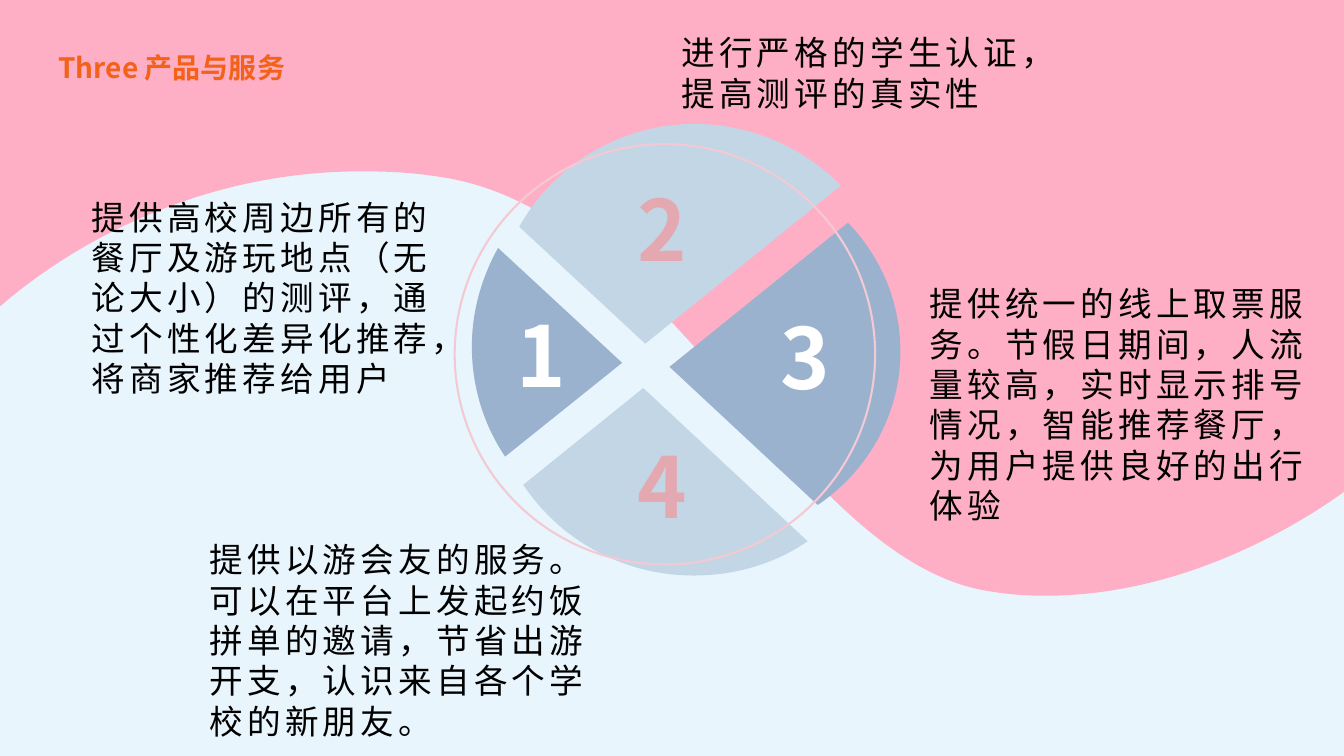
from typing import NamedTuple

from lxml.etree import SubElement
from pptx import Presentation
from pptx.dml.color import RGBColor
from pptx.enum.shapes import MSO_SHAPE
from pptx.enum.text import MSO_ANCHOR, PP_ALIGN
from pptx.oxml.ns import qn
from pptx.shapes.base import BaseShape
from pptx.slide import Slide
from pptx.text.text import TextFrame
from pptx.util import Inches, Pt

FONT = "Noto Sans CJK SC"
SKY = RGBColor(0xE8, 0xF5, 0xFC)
PINK = RGBColor(0xFE, 0xAF, 0xC5)
PALE_BLUE = RGBColor(0xC3, 0xD6, 0xE6)
MID_BLUE = RGBColor(0x9A, 0xB2, 0xCE)
RING = RGBColor(0xF3, 0xCA, 0xD3)
ROSE = RGBColor(0xE4, 0xA8, 0xB1)
ORANGE = RGBColor(0xF3, 0x62, 0x19)
WHITE = RGBColor(0xFF, 0xFF, 0xFF)
BLACK = RGBColor(0, 0, 0)


class Outline(NamedTuple):
    """Segments hold an end point, or two control points and an end point."""
    color: RGBColor
    start: tuple[float, float]
    segments: list[tuple[float, ...]]


class Label(NamedTuple):
    text: str
    left: float
    top: float
    width: float
    height: float
    size: int = 24
    color: RGBColor = BLACK
    bold: bool = False
    spacing: int = 3
    wrap: bool = True


def digit(text: str, left: float, top: float, color: RGBColor) -> Label:
    return Label(text, left, top, 0.74, 1.11, 60, color, True, 0, False)


WAVE = Outline(PINK, (13.33, 0), [
    (0, 0), (0, 3.04),
    (0.39, 2.7, 1.68, 1.7, 3.59, 1.7),
    (3.83, 1.7, 4.07, 1.71, 4.33, 1.75),
    (6.67, 2.06, 7.89, 5.6, 9.84, 5.87),
    (10.02, 5.9, 10.2, 5.91, 10.37, 5.91),
    (11.8, 5.91, 12.97, 5.14, 13.33, 4.88)])
SECTORS = [
    Outline(PALE_BLUE, (8.34, 1.84), [
        (7.97, 1.47, 7.46, 1.23, 6.89, 1.23),
        (6.15, 1.23, 5.49, 1.64, 5.15, 2.25), (6.4, 3.41)]),
    Outline(MID_BLUE, (4.94, 2.46), [
        (4.78, 2.75, 4.68, 3.08, 4.68, 3.44),
        (4.68, 3.84, 4.8, 4.22, 5.01, 4.53), (6.17, 3.6)]),
    Outline(PALE_BLUE, (5.19, 4.81), [
        (5.55, 5.35, 6.17, 5.71, 6.88, 5.71),
        (7.3, 5.71, 7.69, 5.59, 8.01, 5.37), (6.38, 3.85)]),
    Outline(MID_BLUE, (8.93, 3.49), [
        (8.93, 2.99, 8.73, 2.54, 8.41, 2.21), (6.64, 3.64), (8.11, 5.01),
        (8.6, 4.68, 8.93, 4.12, 8.93, 3.49)]),
]
TITLE = Label("Three 产品与服务", 0.48, 0.45, 3.94, 0.44, 20, ORANGE, True, 0)
DIGITS = [
    digit("1", 5.02, 2.96, WHITE),
    digit("2", 6.22, 1.71, ROSE),
    digit("3", 7.64, 2.98, WHITE),
    digit("4", 6.22, 4.26, ROSE),
]
MEETING = Label("提供以游会友的服务。可以在平台上发起约饭拼单的邀请，节省出游开支，认识来自各个学校的新朋友。",
                1.98, 5.3, 4.17, 2.12)
SERVICES = [
    Label("提供高校周边所有的餐厅及游玩地点（无论大小）的测评，通过个性化差异化推荐，将商家推荐给用户",
          0.81, 1.9, 3.75, 2.12),
    Label("进行严格的学生认证，提高测评的真实性", 6.66, 0.27, 3.75, 0.91),
    Label("提供统一的线上取票服务。节假日期间，人流量较高，实时显示排号情况，智能推荐餐厅，为用户提供良好的出行体验",
          9.12, 2.76, 3.96, 2.52),
]


def paint(sp: BaseShape, color: RGBColor) -> None:
    sp.shadow.inherit = False
    sp.fill.solid()
    sp.fill.fore_color.rgb = color
    sp.line.fill.background()


def draw_outline(s: Slide, outline: Outline) -> None:
    """Build the outline through all its points, then bend the curved segments."""
    points = [(Inches(x), Inches(y)) for segment in outline.segments
              for x, y in zip(segment[::2], segment[1::2])]
    builder = s.shapes.build_freeform(*map(Inches, outline.start))
    builder.add_line_segments(points, close=True)
    sp = builder.convert_to_shape()
    paint(sp, outline.color)

    geometry = sp._element.find(".//" + qn("a:path"))
    lines = iter(geometry.findall(qn("a:lnTo")))
    for segment in outline.segments:
        tag = "a:lnTo" if len(segment) == 2 else "a:cubicBezTo"
        bend = SubElement(geometry, qn(tag))
        for _ in segment[::2]:
            line = next(lines)
            bend.append(line[0])
            geometry.remove(line)
    geometry.append(geometry.find(qn("a:close")))


def write(tf: TextFrame, label: Label) -> None:
    tf.text = label.text
    tf.word_wrap = label.wrap
    tf.vertical_anchor = MSO_ANCHOR.TOP
    p = tf.paragraphs[0]
    p.alignment = PP_ALIGN.LEFT
    r = p.runs[0]
    r.font.size = Pt(label.size)
    r.font.bold = label.bold
    r.font.color.rgb = label.color
    r.font.name = FONT
    r_pr = r.font._element
    SubElement(r_pr, qn("a:ea")).set("typeface", FONT)
    if label.spacing:
        r_pr.set("spc", str(label.spacing * 100))


def add_label(s: Slide, label: Label) -> None:
    box = s.shapes.add_textbox(Inches(label.left), Inches(label.top),
                               Inches(label.width), Inches(label.height))
    write(box.text_frame, label)


def place_title(s: Slide, label: Label) -> None:
    """Fill the title placeholder and lift it above the background."""
    title = s.shapes.title
    title.left, title.top = Inches(label.left), Inches(label.top)
    title.width, title.height = Inches(label.width), Inches(label.height)
    write(title.text_frame, label)
    s.shapes._spTree.append(title._element)


def main() -> None:
    prs = Presentation()
    prs.slide_width, prs.slide_height = Inches(13.33), Inches(7.5)
    s = prs.slides.add_slide(prs.slide_layouts[5])

    sky = s.shapes.add_shape(MSO_SHAPE.RECTANGLE, 0, 0, prs.slide_width, prs.slide_height)
    paint(sky, SKY)
    draw_outline(s, WAVE)
    add_label(s, MEETING)
    for sector in SECTORS:
        draw_outline(s, sector)

    ring = s.shapes.add_shape(MSO_SHAPE.OVAL, Inches(4.51), Inches(1.43),
                              Inches(4.17), Inches(4.17))
    ring.shadow.inherit = False
    ring.fill.background()
    ring.line.color.rgb = RING
    ring.line.width = Pt(1.5)

    for label in DIGITS:
        add_label(s, label)
    place_title(s, TITLE)
    for label in SERVICES:
        add_label(s, label)
    prs.save("out.pptx")


if __name__ == "__main__":
    main()
